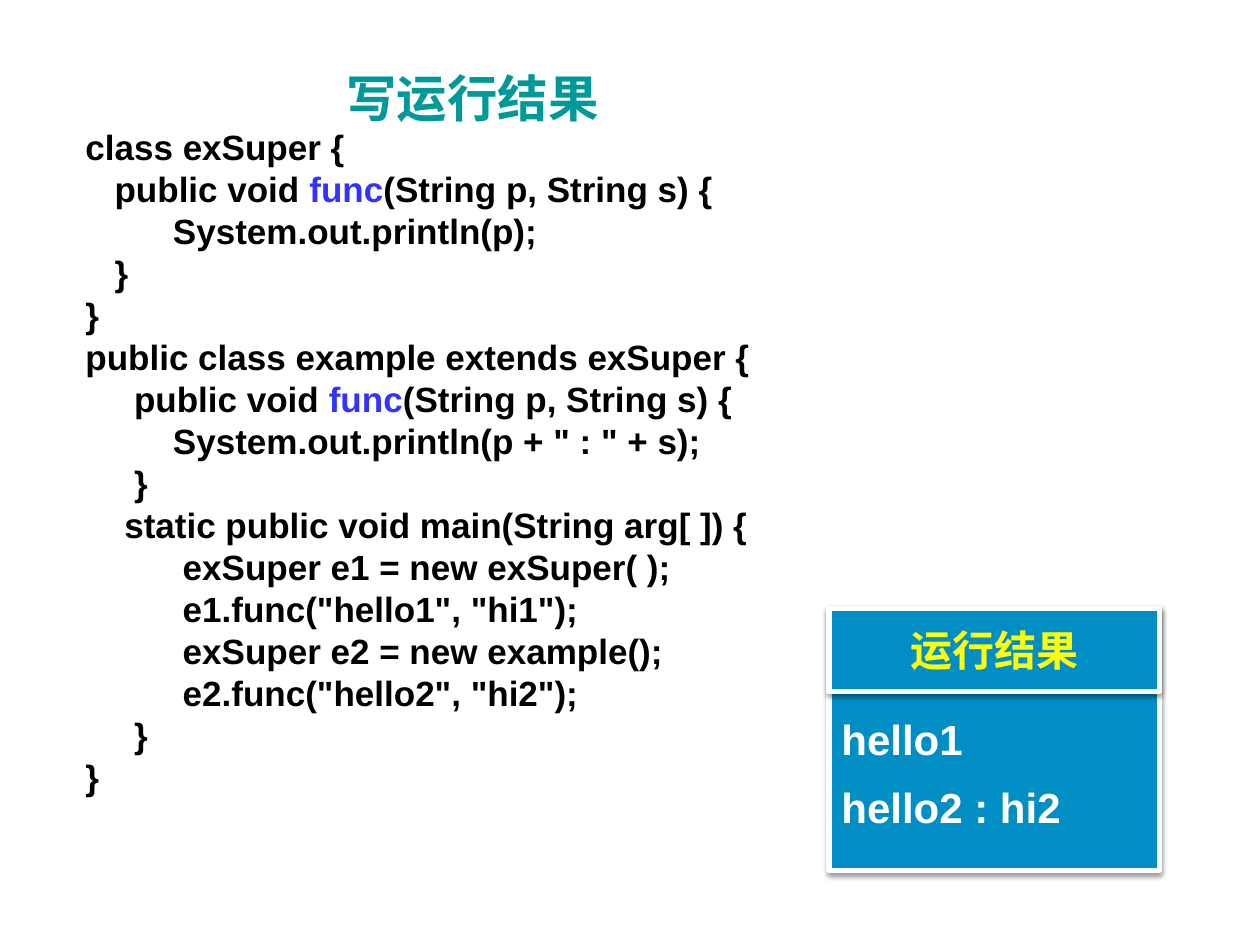
from dataclasses import dataclass

from lxml import etree
from pptx import Presentation
from pptx import util as u
from pptx.dml.color import RGBColor
from pptx.enum import shapes, text
from pptx.oxml.ns import qn


@dataclass(frozen=True)
class Theme:
    title_font: str = "Montserrat"
    body_font: str = "Arial"
    title_size: float = 28.8
    code_size: float = 20
    output_size: float = 24
    teal: str = "009999"
    black: str = "000000"
    method: str = "3333FF"
    panel: str = "008EC4"
    white: str = "FFFFFF"
    yellow: str = "FFFF00"


THEME = Theme()
SPACE_WIDTH = 0.0772  # one space of the code font, in inches

# Indent in spaces, then the code; the method name is coloured where declared
CODE = [
    (0, "class exSuper {"),
    (3, "public void func(String p, String s) {"),
    (9, "System.out.println(p);"),
    (3, "}"),
    (0, "}"),
    (0, "public class example extends exSuper {"),
    (5, "public void func(String p, String s) {"),
    (9, 'System.out.println(p + " : " + s);'),
    (5, "}"),
    (4, "static public void main(String arg[ ]) {"),
    (10, "exSuper e1 = new exSuper( );"),
    (10, 'e1.func("hello1", "hi1");'),
    (10, "exSuper e2 = new example();"),
    (10, 'e2.func("hello2", "hi2");'),
    (5, "}"),
    (0, "}"),
]
DECLARATION = " func"


def style(font, name, size, color):
    font.name, font.size, font.bold = name, u.Pt(size), True
    font.color.rgb = RGBColor.from_string(color)


def add_paragraph(frame, index):
    return frame.paragraphs[0] if index == 0 else frame.add_paragraph()


def set_title(page, wording):
    title = page.shapes.title
    title.left, title.top = u.Inches(2.75), u.Inches(0.51)
    title.width, title.height = u.Inches(3.33), u.Inches(0.5)
    frame = title.text_frame
    frame.auto_size = text.MSO_AUTO_SIZE.NONE
    frame.vertical_anchor = text.MSO_ANCHOR.BOTTOM
    frame.margin_left = frame.margin_right = frame.margin_bottom = 0
    frame.text = wording
    para = frame.paragraphs[0]
    para.alignment = text.PP_ALIGN.LEFT
    style(para.font, THEME.title_font, THEME.title_size, THEME.teal)


def add_code(page):
    box = page.shapes.add_textbox(
        u.Inches(0.58), u.Inches(1), u.Inches(8.5), u.Inches(6.17))
    frame = box.text_frame
    frame.word_wrap = True
    for index, (spaces, line) in enumerate(CODE):
        para = add_paragraph(frame, index)
        para.line_spacing = u.Pt(20)
        para.space_before = u.Pt(4)
        style(para.font, THEME.body_font, THEME.code_size, THEME.black)
        para._p.get_or_add_pPr().set("marL", str(u.Inches(spaces * SPACE_WIDTH)))
        before, name, after = line.partition(DECLARATION)
        for part in filter(None, (before, name, after)):
            span = para.add_run()
            span.text = part
            if part == DECLARATION:
                span.font.color.rgb = RGBColor.from_string(THEME.method)


def add_shadow(shape):
    properties = shape._element.spPr
    effects = properties.find(qn("a:effectLst"))
    shadow = etree.SubElement(
        effects, qn("a:outerShdw"), blurRad=str(u.Pt(3.1)), dist=str(u.Pt(1.6)),
        dir="5400000", rotWithShape="0")
    color = etree.SubElement(shadow, qn("a:srgbClr"), val=THEME.black)
    etree.SubElement(color, qn("a:alpha"), val="38000")


def add_panel(group, height, lines, color, align):
    box = group.shapes.add_shape(
        shapes.MSO_SHAPE.RECTANGLE,
        u.Inches(6.58), u.Inches(4.83), u.Inches(2.62), u.Inches(height))
    box.fill.solid()
    box.fill.fore_color.rgb = RGBColor.from_string(THEME.panel)
    box.line.color.rgb = RGBColor.from_string(THEME.white)
    box.line.width = u.Pt(3)
    box.shadow.inherit = False
    add_shadow(box)
    frame = box.text_frame
    frame.word_wrap = True
    frame.vertical_anchor = text.MSO_ANCHOR.MIDDLE
    for index, line in enumerate(lines):
        para = add_paragraph(frame, index)
        para.text = line
        para.alignment = align
        style(para.font, THEME.body_font, THEME.output_size, color)
    return frame


def add_output(page):
    group = page.shapes.add_group_shape()
    # Printed lines start below the heading that covers the panel's top
    frame = add_panel(group, 2.08, ["hello1", "hello2 : hi2"],
                      THEME.white, text.PP_ALIGN.LEFT)
    frame.vertical_anchor = text.MSO_ANCHOR.TOP
    frame.margin_top = u.Inches(0.88)
    for para in frame.paragraphs:
        para.line_spacing = 0.9
        para.space_after = u.Pt(13)
    add_panel(group, 0.66, ["运行结果"], THEME.yellow, text.PP_ALIGN.CENTER)


def main():
    deck = Presentation()
    deck.slide_width, deck.slide_height = u.Inches(10), u.Inches(7.5)
    page = deck.slides.add_slide(deck.slide_layouts.get_by_name("Title Only"))
    set_title(page, "写运行结果")
    add_code(page)
    add_output(page)
    deck.save("out.pptx")


if __name__ == "__main__":
    main()
